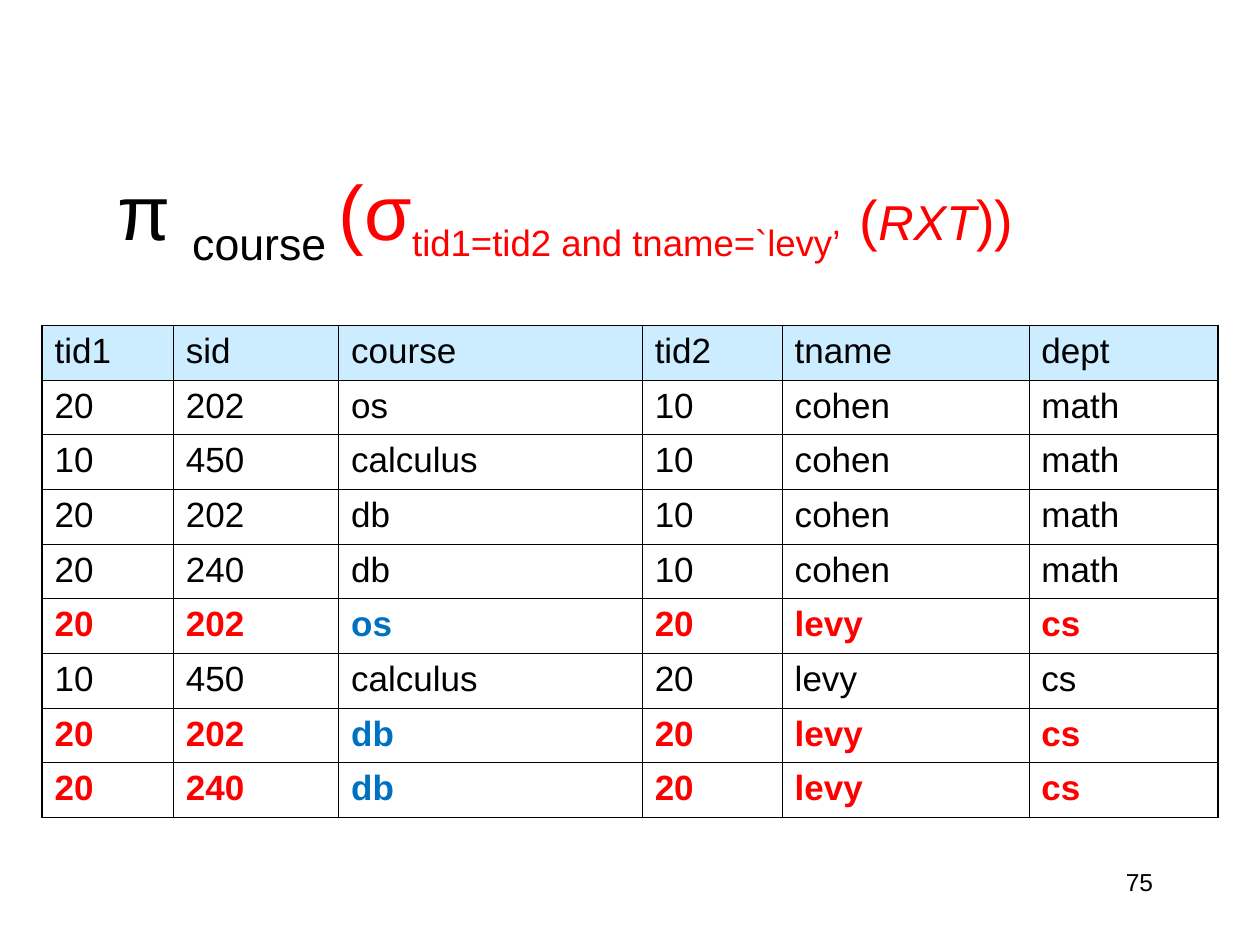
from itertools import product

from lxml import etree
from pptx import Presentation
from pptx.dml.color import RGBColor
from pptx.enum import text as txt
from pptx.oxml import ns
from pptx.util import Pt

BLACK = RGBColor(0x00, 0x00, 0x00)
RED = RGBColor(0xFF, 0x00, 0x00)
BLUE = RGBColor(0x00, 0x70, 0xC0)
HEADER_FILL = RGBColor(0xCC, 0xEC, 0xFF)
THIN, THICK = 0.45, 1.08


def write(paragraph, words, size=20, color=BLACK, bold=False, italic=False, baseline=None):
    run = paragraph.add_run()
    run.text = words
    run.font.name = "Arial"
    run.font.size = Pt(size)
    run.font.color.rgb = color
    run.font.bold = bold
    run.font.italic = italic
    if baseline:
        run.font._element.set("baseline", str(baseline * 1000))


def add_border(cell, side, width):
    line = etree.SubElement(cell._tc.get_or_add_tcPr(), ns.qn(f"a:ln{side}"), w=str(Pt(width)))
    fill = etree.SubElement(line, ns.qn("a:solidFill"))
    etree.SubElement(fill, ns.qn("a:srgbClr"), val=str(BLACK))


prs = Presentation()
prs.slide_width, prs.slide_height = Pt(720), Pt(540)
slide = prs.slides.add_slide(prs.slide_layouts[5])

# Formula as the title
title = slide.shapes.title
title.left, title.top, title.width, title.height = Pt(60), Pt(90), Pt(600), Pt(67.5)
title.text_frame.word_wrap = True
title.text_frame.auto_size = txt.MSO_AUTO_SIZE.SHAPE_TO_FIT_TEXT
title.text_frame.vertical_anchor = txt.MSO_ANCHOR.TOP
formula = title.text_frame.paragraphs[0]
formula.alignment = txt.PP_ALIGN.LEFT
write(formula, "π ", size=44)
write(formula, "course ", size=44, baseline=-25)
write(formula, "(σ", size=44, color=RED)
write(formula, "tid1=tid2 and tname=`levy’  ", size=36, color=RED, baseline=-25)
write(formula, "(", size=32, color=RED)
write(formula, "RXT", size=28, color=RED, italic=True)
write(formula, "))", size=32, color=RED)

# Table: every teacher paired with every enrolment
header = ("tid1", "sid", "course", "tid2", "tname", "dept")
enrolments = [("20", "202", "os"), ("10", "450", "calculus"),
              ("20", "202", "db"), ("20", "240", "db")]
teachers = [("10", "cohen", "math"), ("20", "levy", "cs")]
rows = [header] + [enrolment + teacher for teacher, enrolment in product(teachers, enrolments)]
column_widths = (75, 94.5, 173.5, 80, 141, 108)
row_height = 31.2

table = slide.shapes.add_table(
    len(rows), len(header), Pt(24), Pt(186), Pt(sum(column_widths)), Pt(row_height * len(rows))
).table
table.horz_banding = False
for column, width in zip(table.columns, column_widths):
    column.width = Pt(width)

last_row, last_column = len(rows) - 1, len(header) - 1
for r, values in enumerate(rows):
    table.rows[r].height = Pt(row_height)
    selected = values[0] == values[3] and values[4] == "levy"
    for c, value in enumerate(values):
        cell = table.cell(r, c)
        outer_edges = {"L": c == 0, "R": c == last_column, "T": r == 0, "B": r == last_row}
        for side, outer in outer_edges.items():
            add_border(cell, side, THICK if outer else THIN)
        if r == 0:
            cell.fill.solid()
            cell.fill.fore_color.rgb = HEADER_FILL
        else:
            cell.fill.background()
        color = BLACK
        if selected:
            color = BLUE if header[c] == "course" else RED
        write(cell.text_frame.paragraphs[0], value, color=color, bold=selected)

# Page number
page_number = slide.shapes.add_textbox(Pt(516), Pt(492), Pt(150), Pt(36))
page_number.text_frame.word_wrap = True
page_number.text_frame.paragraphs[0].alignment = txt.PP_ALIGN.RIGHT
write(page_number.text_frame.paragraphs[0], "75", size=14)

prs.save("out.pptx")
